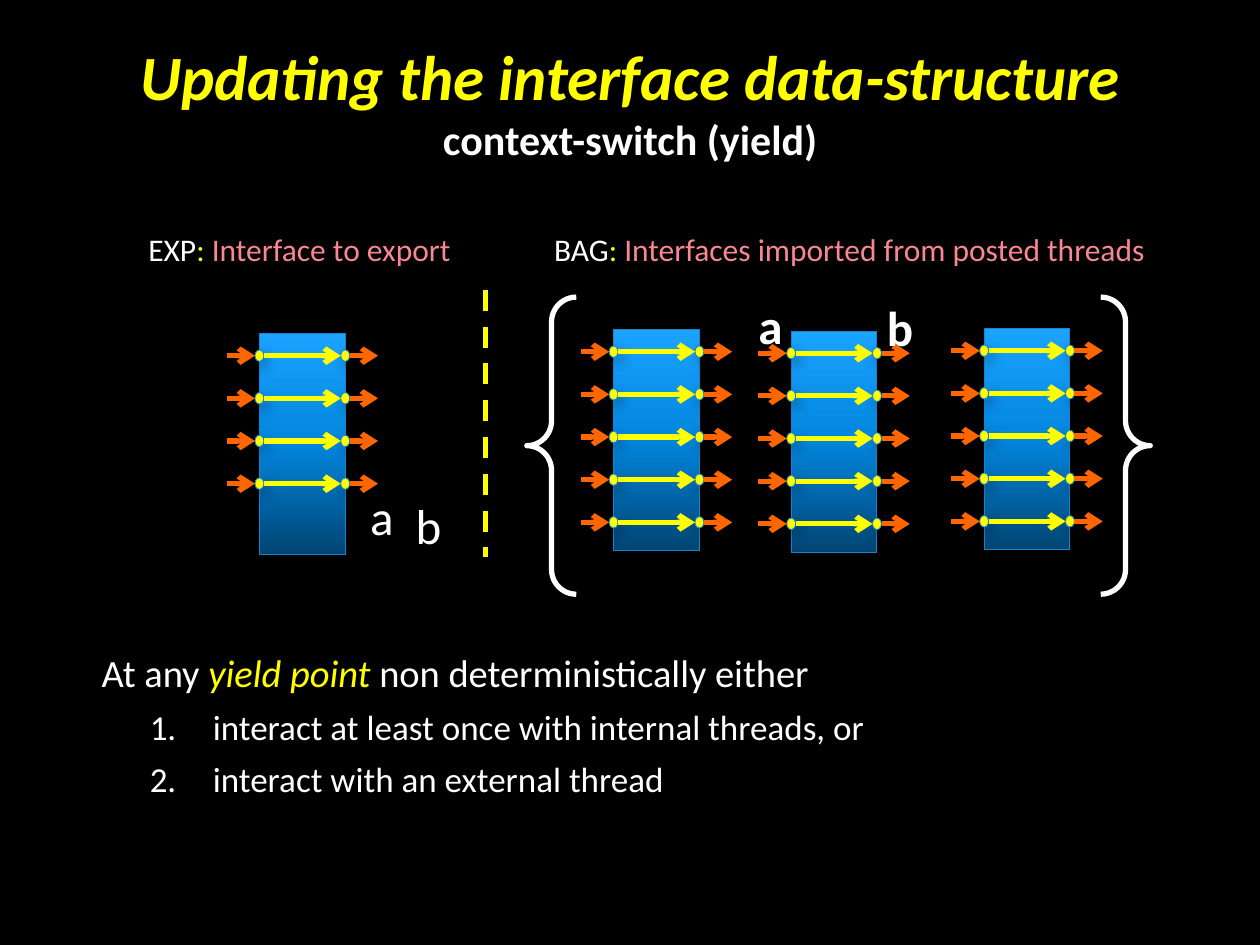
"""Build the slide on updating the interface data-structure at a yield."""
from copy import deepcopy
from dataclasses import dataclass

from pptx import Presentation
from pptx.dml.color import RGBColor
from pptx.enum.dml import MSO_LINE
from pptx.enum.shapes import MSO_CONNECTOR, MSO_SHAPE
from pptx.enum.text import MSO_ANCHOR, MSO_AUTO_SIZE, PP_ALIGN
from pptx.oxml import parse_xml
from pptx.oxml.ns import nsdecls, qn
from pptx.oxml.xmlchemy import OxmlElement
from pptx.util import Cm, Pt

HUES = {
    "black": "000000", "white": "FFFFFF", "yellow": "FFFF00", "orange": "FF6600",
    "pink": "F88792", "edge": "1884CD",
    "deep": "014573", "blue": "0285DD", "light": "1AA3FF",
}
WIDE, TALL = 1.73, 4.45
DOT_W, DOT_H = 0.18, 0.23
FIRST, PITCH = 0.44, 0.86
REACH = 0.66


@dataclass
class Stack:
    left: float
    top: float
    rows: int


@dataclass
class Label:
    left: float
    top: float
    width: float
    height: float
    runs: list
    size: float
    bold: bool = False


STACKS = [Stack(5.23, 6.73, 4), Stack(12.37, 6.65, 5),
          Stack(15.95, 6.68, 5), Stack(19.84, 6.63, 5)]
LABELS = [
    Label(7.21, 9.68, 1.02, 1.45, [("a", "white")], 28),
    Label(15.04, 5.84, 1.02, 1.45, [("a", "white")], 28, True),
    Label(17.63, 5.87, 1.07, 1.45, [("b", "white")], 28, True),
    Label(8.13, 9.86, 1.02, 1.45, [("b", "white")], 28),
    Label(2.74, 4.52, 7.16, 1.02,
          [("EXP", "white"), (": ", "yellow"), ("Interface to export", "pink")], 18),
    Label(10.92, 4.52, 13.08, 1.02,
          [("BAG", "white"), (": ", "yellow"),
           ("Interfaces imported from posted threads", "pink")], 18),
]
CHOICES = ["interact at least once with internal threads, or",
           "interact with an external thread"]


def shade(name: str) -> RGBColor:
    """Return the named colour."""
    return RGBColor.from_string(HUES[name])


def write(par, text: str, *, size: float, hue: str = "white",
          bold: bool = False, slant: bool = False) -> None:
    """Add a run of text to a paragraph."""
    run = par.add_run()
    run.text = text
    font = run.font
    font.name, font.size, font.bold, font.italic = "Calibri", Pt(size), bold, slant
    font.color.rgb = shade(hue)


def frame(slide, left: float, top: float, width: float, height: float, wrap: bool = True):
    """Add a text box and return its text frame."""
    box = slide.shapes.add_textbox(Cm(left), Cm(top), Cm(width), Cm(height)).text_frame
    box.word_wrap = wrap
    box.auto_size = MSO_AUTO_SIZE.NONE if wrap else MSO_AUTO_SIZE.SHAPE_TO_FIT_TEXT
    return box


def solid(slide, kind, left: float, top: float, width: float, height: float,
          edge: str, weight: float):
    """Add a plain shape with an outline."""
    shape = slide.shapes.add_shape(kind, Cm(left), Cm(top), Cm(width), Cm(height))
    shape.shadow.inherit = False
    shape.line.color.rgb = shade(edge)
    shape.line.width = Pt(weight)
    return shape


def cast(shape) -> None:
    """Give a shape a soft shadow."""
    shape._element.spPr.find(qn("a:effectLst")).append(parse_xml(
        f'<a:outerShdw {nsdecls("a")} blurRad="90000" dist="48000" dir="3300000" '
        f'rotWithShape="0"><a:srgbClr val="{HUES["black"]}">'
        '<a:alpha val="35000"/></a:srgbClr></a:outerShdw>'))


def stroke(slide, start: tuple, end: tuple, hue: str, dash=None, arrow: bool = True) -> None:
    """Draw a straight line, with an arrowhead if asked."""
    line = slide.shapes.add_connector(
        MSO_CONNECTOR.STRAIGHT, *(Cm(x) for x in (*start, *end)))
    line.line.color.rgb = shade(hue)
    line.line.width = Pt(3)
    if dash:
        line.line.dash_style = dash
    if arrow:
        tip = OxmlElement("a:tailEnd")
        tip.set("type", "arrow")
        line.line._get_or_add_ln().append(tip)
    line._element.spPr.append(OxmlElement("a:effectLst"))


def block(slide, stack: Stack) -> None:
    """Draw the shaded block of a stack."""
    shape = solid(slide, MSO_SHAPE.RECTANGLE, stack.left, stack.top, WIDE, TALL, "edge", 0.5)
    shape.fill.gradient()
    shape.fill.gradient_angle = 90
    stops = shape._element.spPr.find(".//" + qn("a:gsLst"))
    stops.insert(1, deepcopy(stops[0]))
    for stop, hue, place in zip(shape.fill.gradient_stops, ("deep", "blue", "light"), (0, 0.5, 1)):
        stop.color.rgb = shade(hue)
        stop.position = place
    cast(shape)


def draw(slide, stack: Stack) -> None:
    """Draw a stack with its rows of dots and arrows."""
    block(slide, stack)
    left, right, gap = stack.left, stack.left + WIDE, DOT_W / 2
    for row in range(stack.rows):
        y = stack.top + FIRST + PITCH * row
        for x in (left, right):
            dot = solid(slide, MSO_SHAPE.OVAL, x - gap, y - DOT_H / 2, DOT_W, DOT_H, "edge", 0.5)
            dot.fill.solid()
            dot.fill.fore_color.rgb = shade("yellow")
            cast(dot)
        stroke(slide, (left + gap, y), (right - gap, y), "yellow")
        for x, end in ((left - REACH, left - gap), (right + gap, right + REACH)):
            stroke(slide, (x, y), (end, y), "orange", MSO_LINE.SQUARE_DOT)


def title(slide) -> None:
    """Write the title and its second line."""
    box = frame(slide, 1.91, 0.05, 21.59, 3.96)
    box.vertical_anchor = MSO_ANCHOR.MIDDLE
    par = box.paragraphs[0]
    par.alignment = PP_ALIGN.CENTER
    write(par, "Updating the interface data-structure", size=36, hue="yellow",
          bold=True, slant=True)
    par.add_line_break()
    write(par, "context-switch (yield)", size=24, bold=True)


def body(slide) -> None:
    """Write the closing text and its numbered choices."""
    box = frame(slide, 1.8, 12.95, 23.01, 4.72)
    par = box.paragraphs[0]
    write(par, "At any ", size=22)
    write(par, "yield point", size=22, hue="yellow", slant=True)
    write(par, " non deterministically either", size=22)
    for text in CHOICES:
        par = box.add_paragraph()
        par.level = 1
        par.space_before = Pt(6)
        props = par._p.get_or_add_pPr()
        props.set("marL", str(Cm(2.24)))
        props.set("indent", str(Cm(-1.27)))
        mark = OxmlElement("a:buAutoNum")
        mark.set("type", "arabicPeriod")
        props.append(mark)
        write(par, text, size=20)


def main() -> None:
    """Build and save the slide."""
    deck = Presentation()
    deck.slide_width, deck.slide_height = Cm(25.4), Cm(19.05)
    slide = deck.slides.add_slide(deck.slide_layouts[6])
    slide.background.fill.solid()
    slide.background.fill.fore_color.rgb = shade("black")
    title(slide)
    for stack in STACKS:
        draw(slide, stack)
    stroke(slide, (9.78, 5.84), (9.78, 11.23), "yellow", MSO_LINE.DASH, arrow=False)
    body(slide)
    brace = solid(slide, MSO_SHAPE.DOUBLE_BRACE, 10.62, 5.99, 12.57, 5.99, "white", 3)
    brace.fill.background()
    for label in LABELS:
        box = frame(slide, label.left, label.top, label.width, label.height, wrap=False)
        for text, hue in label.runs:
            write(box.paragraphs[0], text, size=label.size, hue=hue, bold=label.bold)
    deck.save("out.pptx")


if __name__ == "__main__":
    main()
